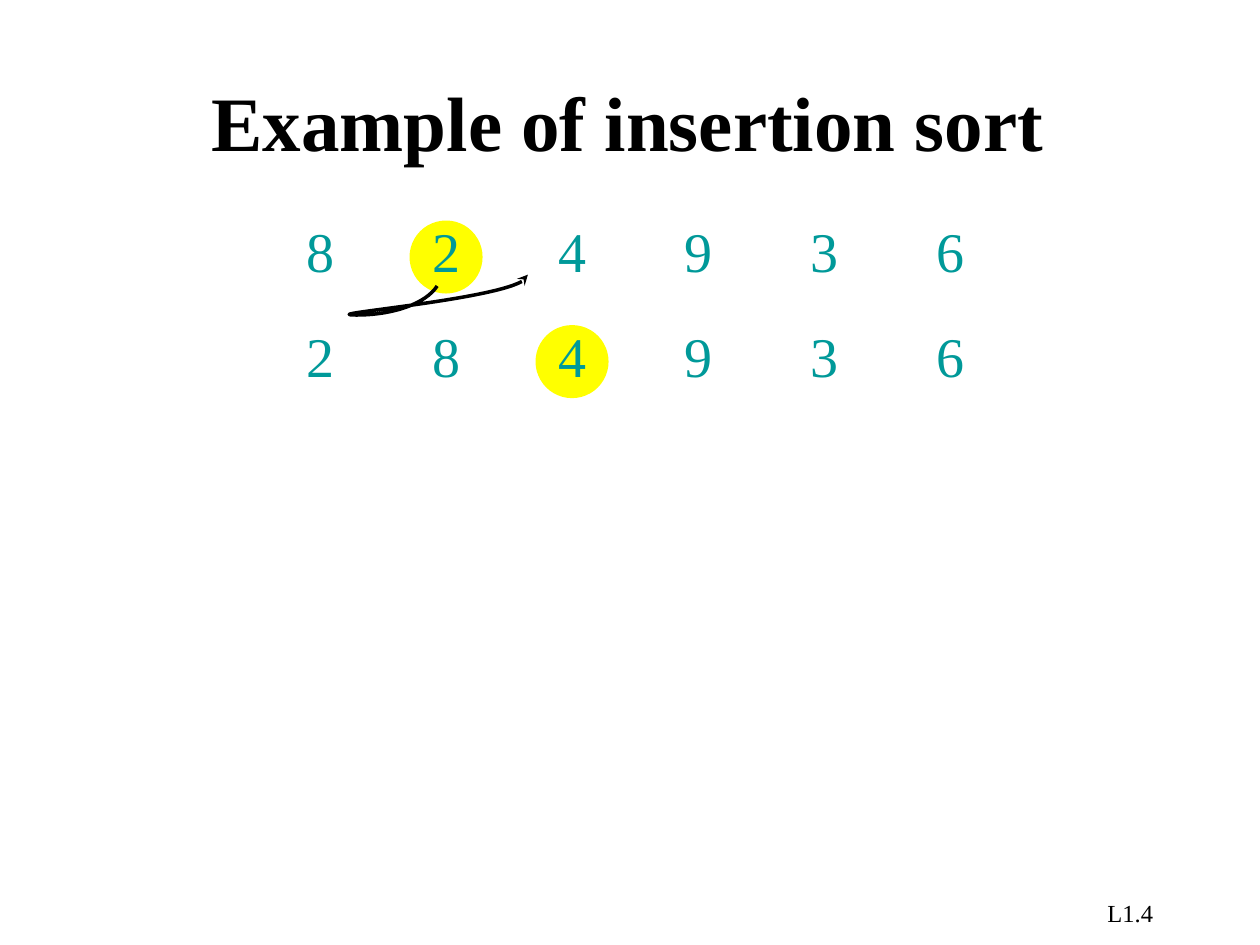
from lxml import etree
from pptx import Presentation
from pptx.dml.color import RGBColor
from pptx.enum.shapes import MSO_SHAPE
from pptx.enum.text import MSO_ANCHOR, MSO_AUTO_SIZE, PP_ALIGN
from pptx.oxml.ns import qn
from pptx.util import Inches, Pt

OVAL = MSO_SHAPE.OVAL
TOP, MIDDLE = MSO_ANCHOR.TOP, MSO_ANCHOR.MIDDLE
LEFT, CENTER, RIGHT = PP_ALIGN.LEFT, PP_ALIGN.CENTER, PP_ALIGN.RIGHT
FIT = MSO_AUTO_SIZE.SHAPE_TO_FIT_TEXT
BLACK = RGBColor(0, 0, 0)
TEAL = RGBColor(0, 0x99, 0x99)
YELLOW = RGBColor(0xFF, 0xFF, 0)
FONT = "Times New Roman"

TITLE = "Example of insertion sort"
PAGE = "L1.4"
# Each step: the digits, and the index of the key to insert next
STEPS = [("824936", 1), ("284936", 2)]
# Start point, then three points for each Bezier curve
SWEEP = [(3.47, 2.27),
         (3.38, 2.41), (3.12, 2.5), (2.83, 2.5),
         (2.47, 2.5), (4.2, 2.36), (4.19, 2.18)]

MID_X, ROW_Y = 2.54, 1.67     # centre of first column, top of first row
COL_GAP, ROW_GAP = 1, 0.83
CELL_W, CELL_H = 0.42, 0.64
DOT, DOT_DROP = 0.58, 0.08


def add_text(shapes, text, box, size, color, align, anchor=TOP, bold=False):
    label = shapes.add_textbox(*map(Inches, box))
    frame = label.text_frame
    frame.word_wrap = True
    frame.vertical_anchor = anchor
    para = frame.paragraphs[0]
    para.text = text
    para.alignment = align
    font = para.font
    font.name, font.size, font.bold = FONT, Pt(size), bold
    font.color.rgb = color
    return frame


def add_step(shapes, digits, key, top):
    """Draw one row of digits with a dot behind the key."""
    mid = MID_X + key * COL_GAP
    dot = shapes.add_shape(OVAL, Inches(mid - DOT / 2), Inches(top + DOT_DROP),
                           Inches(DOT), Inches(DOT))
    dot.shadow.inherit = False
    dot.fill.solid()
    dot.fill.fore_color.rgb = YELLOW
    dot.line.fill.background()
    for col, digit in enumerate(digits):
        left = MID_X + col * COL_GAP - CELL_W / 2
        frame = add_text(shapes, digit, (left, top, CELL_W, CELL_H),
                         32, TEAL, CENTER)
        frame.word_wrap = False
        frame.auto_size = FIT


def add_sweep(shapes, points):
    """Draw a curved arrow through Bezier points."""
    start, *rest = [(Inches(x), Inches(y)) for x, y in points]
    pen = shapes.build_freeform(*start)
    pen.add_line_segments(rest, close=False)
    arrow = pen.convert_to_shape()
    arrow.shadow.inherit = False
    arrow.fill.background()
    arrow.line.color.rgb = BLACK
    arrow.line.width = Pt(2)
    etree.SubElement(arrow.line._get_or_add_ln(), qn("a:tailEnd"), type="stealth")
    # Turn every three line steps into one cubic curve
    track = next(arrow._element.iter(qn("a:path")))
    steps = track.findall(qn("a:lnTo"))
    for i in range(0, len(steps), 3):
        curve = etree.SubElement(track, qn("a:cubicBezTo"))
        for step in steps[i:i + 3]:
            curve.append(step[0])
            track.remove(step)


def main():
    deck = Presentation()
    deck.slide_width, deck.slide_height = Inches(10), Inches(7.5)
    shapes = deck.slides.add_slide(deck.slide_layouts[6]).shapes

    add_text(shapes, PAGE, (7.17, 7.08, 2.08, 0.25), 14, BLACK, RIGHT)
    add_text(shapes, TITLE, (1.58, 0.33, 8.25, 1.25), 44, BLACK, LEFT,
             MIDDLE, True)
    for row, (digits, key) in enumerate(STEPS):
        group = shapes.add_group_shape().shapes
        add_step(group, digits, key, ROW_Y + row * ROW_GAP)
        if row == 0:
            add_sweep(group, SWEEP)

    deck.save("out.pptx")


if __name__ == "__main__":
    main()
